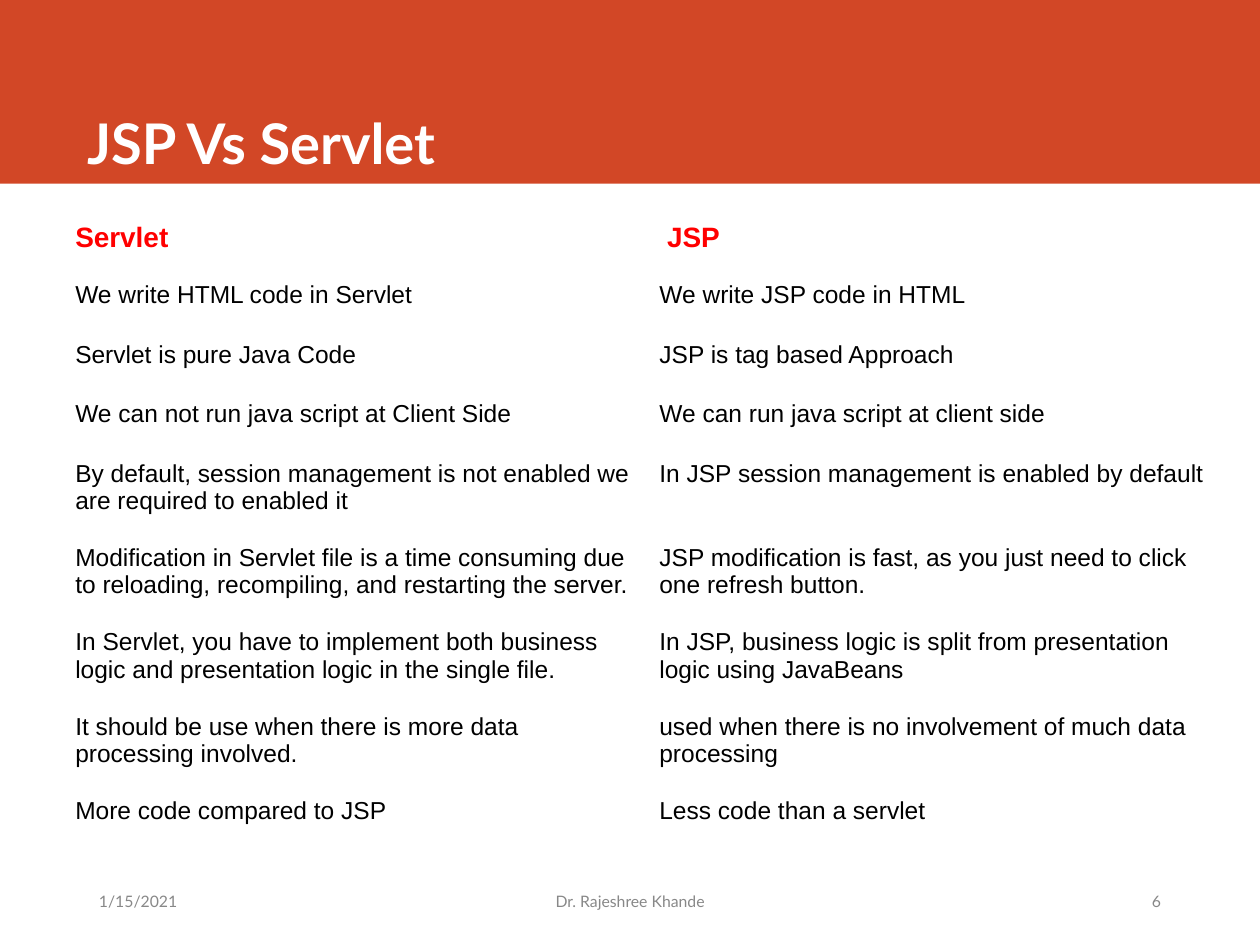
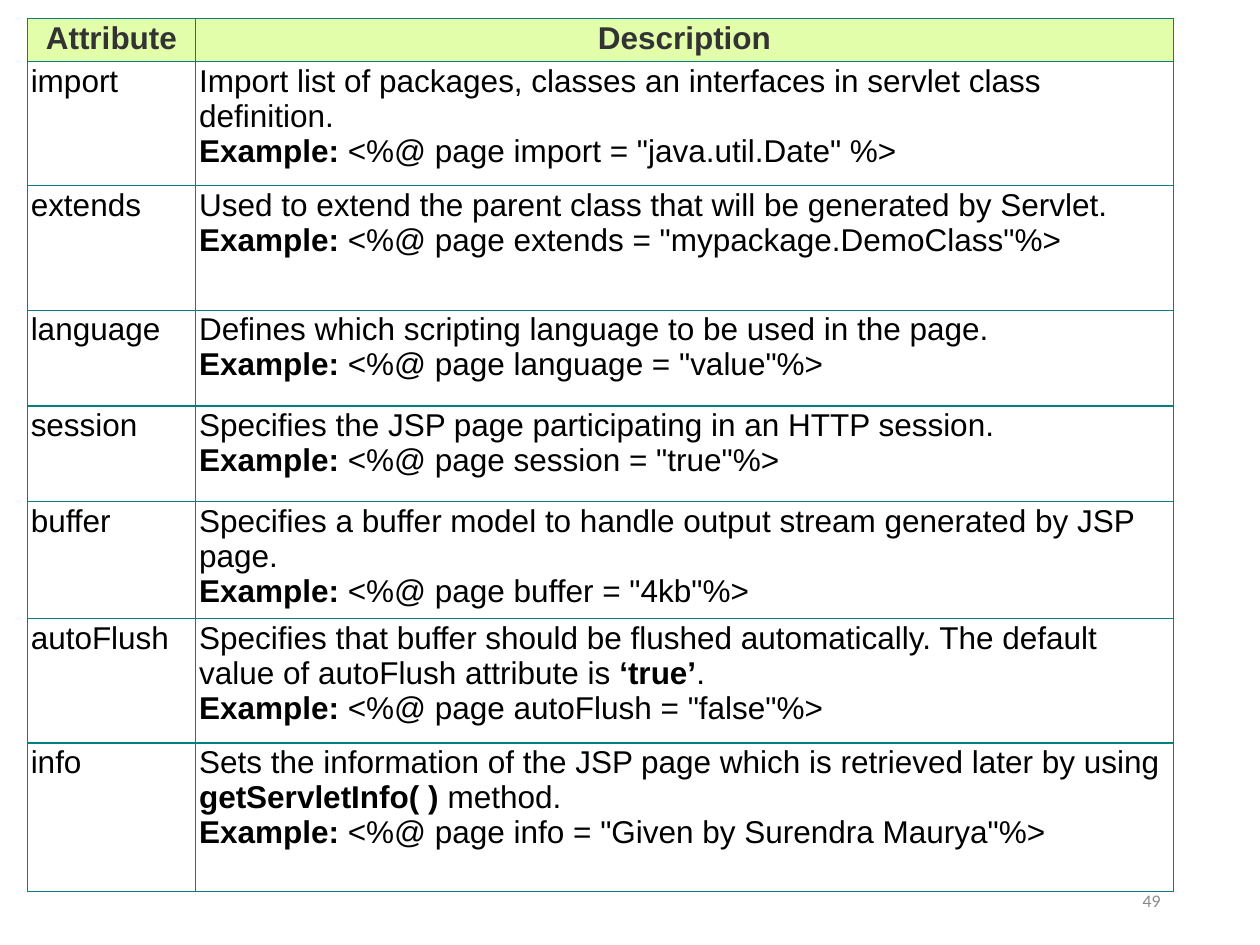
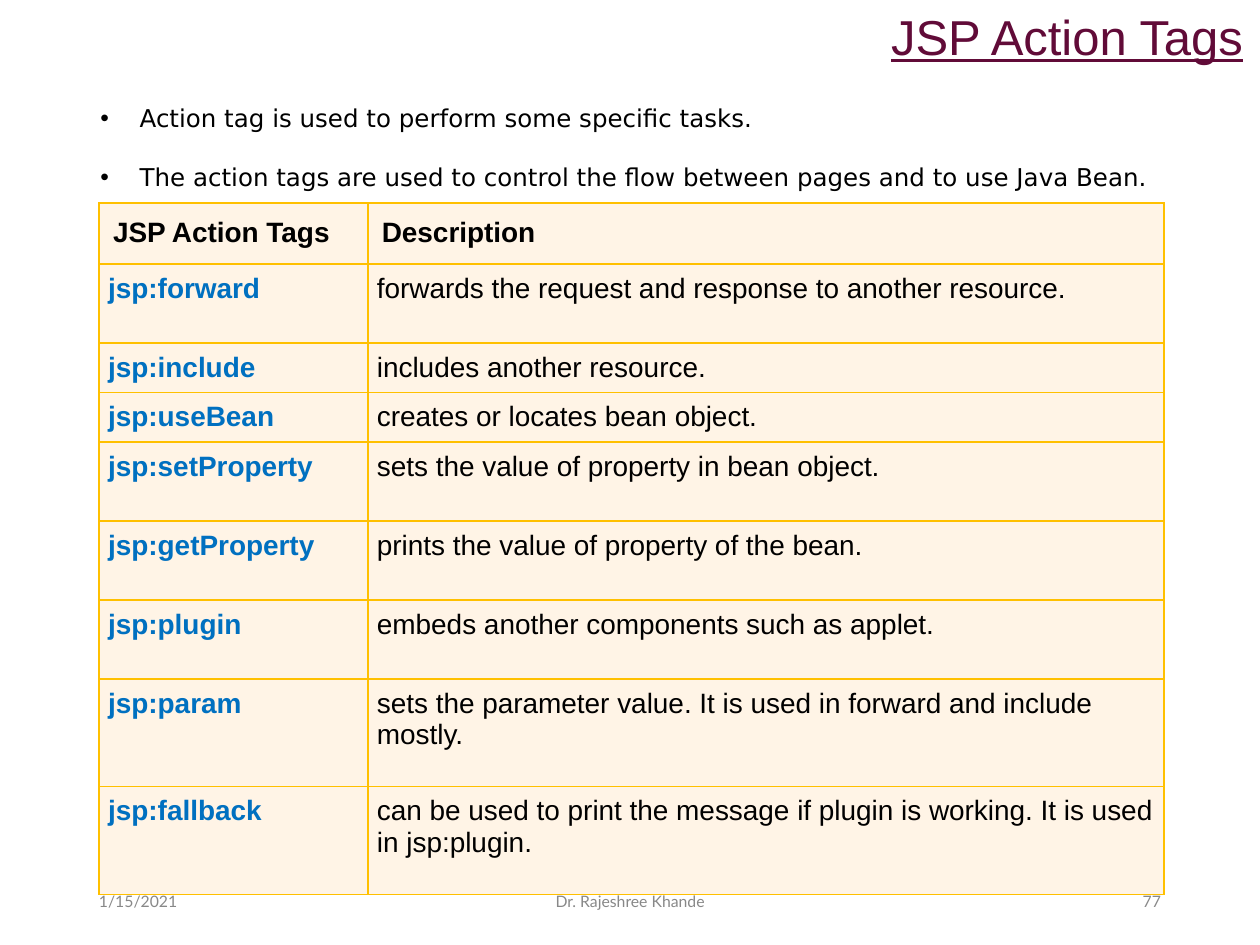
from dataclasses import dataclass
from typing import Optional

from lxml import etree
from pptx import Presentation
from pptx.dml.color import RGBColor
from pptx.enum.shapes import MSO_SHAPE
from pptx.enum.text import MSO_ANCHOR, MSO_AUTO_SIZE, PP_ALIGN
from pptx.oxml.ns import qn
from pptx.util import Pt

COLORS = {
    "band": "D24726", "white": "FFFFFF", "black": "000000", "footer": "888888",
    "red": "FF0000", "lime": "E3FEAB", "charcoal": "333333", "teal": "008080",
    "cream": "FFF4E6", "gold": "FFC000", "blue": "0070C0", "plum": "610B38",
}
HEADING_FONT, BODY_FONT, BULLET_FONT = "Lato", "Arial", "DejaVu Sans"
NO_TABLE_STYLE = "{2D5ABB26-0587-4C30-8999-92F81FD0307C}"
TITLE_ONLY, BLANK = 5, 6


@dataclass(frozen=True)
class TextStyle:
    size: float
    color: str = "black"
    bold: bool = False
    font: str = BODY_FONT
    underline: bool = False


@dataclass(frozen=True)
class Box:
    left: float
    top: float
    width: float
    height: float

    def lengths(self) -> tuple:
        return Pt(self.left), Pt(self.top), Pt(self.width), Pt(self.height)


@dataclass(frozen=True)
class FooterPart:
    box: Box
    align: PP_ALIGN


@dataclass(frozen=True)
class TableLook:
    left: float
    top: float
    columns: tuple[float, ...]
    heights: tuple[float, ...]
    header: TextStyle
    body: tuple[TextStyle, ...]
    margins: tuple[float, float] = (7.2, 3.6)
    header_margins: tuple[float, float] = (7.2, 3.6)
    header_align: PP_ALIGN = PP_ALIGN.LEFT
    header_fill: Optional[str] = None
    body_fill: Optional[str] = None
    border: Optional[str] = None
    border_width: float = 1


FOOTER_STYLE = TextStyle(9, "footer", font=HEADING_FONT)
DATE = FooterPart(Box(49.5, 500.5, 194, 28.8), PP_ALIGN.LEFT)
AUTHOR = FooterPart(Box(274.5, 500.5, 171, 28.8), PP_ALIGN.CENTER)
NUMBER = FooterPart(Box(476.5, 500.5, 194, 28.8), PP_ALIGN.RIGHT)

COMPARISON_LOOK = TableLook(
    35.8, 123.2, (333.8, 333.8), (34,) * 4 + (48.2,) * 5,
    header=TextStyle(16, "red", True), body=(TextStyle(14),) * 2,
)
ATTRIBUTE_LOOK = TableLook(
    15.6, 10.5, (96.2, 558.7), (24.8, 71, 71, 54.8, 54.8, 64.6, 71, 85),
    header=TextStyle(18, "charcoal", True), body=(TextStyle(18),) * 2,
    margins=(2, 1), header_margins=(2, 1.5), header_align=PP_ALIGN.CENTER,
    header_fill="lime", body_fill="white", border="teal", border_width=0.75,
)
ACTION_LOOK = TableLook(
    56.6, 116, (153.6, 455), (34.8, 45.1, 28.4, 28.4, 45.1, 45.1, 45.1, 61.6, 61.6),
    header=TextStyle(16, bold=True), body=(TextStyle(16, "blue", True), TextStyle(16)),
    margins=(5.2, 5.2), header_margins=(8, 8),
    header_fill="cream", body_fill="cream", border="gold",
)

COMPARISON = [
    ("Servlet", "JSP"),
    ("We write HTML code in Servlet", "We write JSP code in HTML"),
    ("Servlet is pure Java Code", "JSP is tag based Approach"),
    ("We can not run java script at Client Side", "We can run java script at client side"),
    ("By default, session management is not enabled we are required to enabled it",
     "In JSP session management is enabled by default"),
    ("Modification in Servlet file is a time consuming due to reloading, recompiling, "
     "and restarting the server.",
     "JSP modification is fast, as you just need to click one refresh button."),
    ("In Servlet, you have to implement both business logic and presentation logic "
     "in the single file.",
     "In JSP, business logic is split from presentation logic using JavaBeans"),
    ("It should be use when there is more data processing involved.",
     "used when there is no involvement of much data processing"),
    ("More code compared to JSP", "Less code than a servlet"),
]
# Attribute, description (bold between ** marks) and example value
ATTRIBUTES = [
    ("import", "Import list of packages, classes an interfaces in servlet class definition.",
     '"java.util.Date" '),
    ("extends", "Used to extend the parent class that will be generated by Servlet.",
     '"mypackage.DemoClass"'),
    ("language", "Defines which scripting language to be used in the page.", '"value"'),
    ("session", "Specifies the JSP page participating in an HTTP session.", '"true"'),
    ("buffer", "Specifies a buffer model to handle output stream generated by JSP page.",
     '"4kb"'),
    ("autoFlush", "Specifies that buffer should be flushed automatically. The default value "
     "of autoFlush attribute is **‘true’**.", '"false"'),
    ("info", "Sets the information of the JSP page which is retrieved later by "
     "using **getServletInfo( )** method.", '"Given by Surendra Maurya"'),
]
ACTIONS = [
    ("JSP Action Tags", "Description"),
    ("jsp:forward", "forwards the request and response to another resource."),
    ("jsp:include", "includes another resource."),
    ("jsp:useBean", "creates or locates bean object."),
    ("jsp:setProperty", "sets the value of property in bean object."),
    ("jsp:getProperty", "prints the value of property of the bean."),
    ("jsp:plugin", "embeds another components such as applet."),
    ("jsp:param", "sets the parameter value. It is used in forward and include mostly."),
    ("jsp:fallback", "can be used to print the message if plugin is working. "
     "It is used in jsp:plugin."),
]
ACTION_NOTES = [
    "Action tag is used to perform some specific tasks.",
    "The action tags are used to control the flow between pages and to use Java Bean.",
]


def rgb(name: str) -> RGBColor:
    return RGBColor.from_string(COLORS[name])


def style_font(font, style: TextStyle) -> None:
    font.name, font.size = style.font, Pt(style.size)
    font.bold, font.underline = style.bold, style.underline
    font.color.rgb = rgb(style.color)


def style_runs(paragraph, style: TextStyle) -> None:
    for run in paragraph.runs:
        style_font(run.font, style)


def write_marked(paragraph, text: str, style: TextStyle) -> None:
    """Write text with line breaks, making the parts between ** marks bold."""
    for line_index, line in enumerate(text.split("\n")):
        if line_index:
            paragraph.add_line_break()
        for part_index, part in enumerate(line.split("**")):
            if part:
                run = paragraph.add_run()
                run.text = part
                style_font(run.font, style)
                run.font.bold = style.bold or part_index % 2 == 1


def set_title(slide, text: str, box: Box, style: TextStyle, anchor: MSO_ANCHOR,
              left_margin: float = 7.2) -> None:
    title = slide.shapes.title
    title.left, title.top, title.width, title.height = box.lengths()
    frame = title.text_frame
    frame.text = text
    frame.auto_size = MSO_AUTO_SIZE.NONE
    frame.vertical_anchor = anchor
    frame.margin_left = Pt(left_margin)
    frame.paragraphs[0].alignment = PP_ALIGN.LEFT
    style_runs(frame.paragraphs[0], style)


def add_title_band(slide) -> None:
    band = slide.shapes.add_shape(MSO_SHAPE.RECTANGLE, *Box(0, 0, 720, 105).lengths())
    band.shadow.inherit = False
    band.fill.solid()
    band.fill.fore_color.rgb = rgb("band")
    band.line.fill.background()
    slide.shapes.title.element.addprevious(band.element)


def add_footer_part(slide, part: FooterPart, text: str) -> None:
    frame = slide.shapes.add_textbox(*part.box.lengths()).text_frame
    frame.word_wrap = True
    frame.vertical_anchor = MSO_ANCHOR.MIDDLE
    frame.text = text
    frame.paragraphs[0].alignment = part.align
    style_runs(frame.paragraphs[0], FOOTER_STYLE)


def add_footer(slide, number: int, dated: bool = True) -> None:
    if dated:
        add_footer_part(slide, DATE, "1/15/2021")
        add_footer_part(slide, AUTHOR, "Dr. Rajeshree Khande")
    add_footer_part(slide, NUMBER, str(number))


def add_borders(cell, color: str, width: float) -> None:
    properties = cell._tc.get_or_add_tcPr()
    for index, side in enumerate(("lnL", "lnR", "lnT", "lnB")):
        line = etree.Element(qn(f"a:{side}"), w=str(Pt(width)))
        fill = etree.SubElement(line, qn("a:solidFill"))
        etree.SubElement(fill, qn("a:srgbClr"), val=COLORS[color])
        properties.insert(index, line)


def add_styled_table(slide, look: TableLook, rows: list):
    box = Box(look.left, look.top, sum(look.columns), sum(look.heights))
    table = slide.shapes.add_table(len(rows), len(look.columns), *box.lengths()).table
    table.first_row = table.horz_banding = False
    table._tbl.tblPr.find(qn("a:tableStyleId")).text = NO_TABLE_STYLE
    for column, width in zip(table.columns, look.columns):
        column.width = Pt(width)
    for row_index, (texts, height) in enumerate(zip(rows, look.heights)):
        table.rows[row_index].height = Pt(height)
        is_header = row_index == 0
        side, end = look.header_margins if is_header else look.margins
        fill = look.header_fill if is_header else look.body_fill
        for column_index, text in enumerate(texts):
            cell = table.cell(row_index, column_index)
            cell.margin_left = cell.margin_right = Pt(side)
            cell.margin_top = cell.margin_bottom = Pt(end)
            if fill:
                cell.fill.solid()
                cell.fill.fore_color.rgb = rgb(fill)
            else:
                cell.fill.background()
            if look.border:
                add_borders(cell, look.border, look.border_width)
            paragraph = cell.text_frame.paragraphs[0]
            paragraph.alignment = look.header_align if is_header else PP_ALIGN.LEFT
            write_marked(paragraph, text, look.header if is_header else look.body[column_index])
    return table


def add_bullets(slide, box: Box, texts: list[str], style: TextStyle, gap: float) -> None:
    frame = slide.shapes.add_textbox(*box.lengths()).text_frame
    frame.word_wrap = True
    frame.text = "\n".join(texts)
    for index, paragraph in enumerate(frame.paragraphs):
        properties = paragraph._p.get_or_add_pPr()
        properties.set("marL", str(Pt(22.5)))
        properties.set("indent", str(-Pt(22.5)))
        bullet_color = etree.SubElement(properties, qn("a:buClr"))
        etree.SubElement(bullet_color, qn("a:srgbClr"), val=COLORS[style.color])
        etree.SubElement(properties, qn("a:buFont"), typeface=BODY_FONT)
        etree.SubElement(properties, qn("a:buChar"), char="•")
        if index:
            paragraph.space_before = Pt(gap)
        style_runs(paragraph, style)


def add_comparison_slide(deck) -> None:
    slide = deck.slides.add_slide(deck.slide_layouts[TITLE_ONLY])
    set_title(slide, "JSP Vs Servlet", Box(36, 9, 635, 95),
              TextStyle(32, "white", True, HEADING_FONT), MSO_ANCHOR.BOTTOM, 13.8)
    add_title_band(slide)
    add_footer(slide, 6)
    comparison = add_styled_table(slide, COMPARISON_LOOK, COMPARISON)
    comparison.cell(0, 1).margin_left = Pt(11.6)


def add_attribute_slide(deck) -> None:
    slide = deck.slides.add_slide(deck.slide_layouts[BLANK])
    rows = [("Attribute", "Description")]
    for attribute, description, value in ATTRIBUTES:
        example = f"**Example:** <%@ page {attribute} = {value}%>"
        rows.append((attribute, f"{description}\n{example}"))
    add_styled_table(slide, ATTRIBUTE_LOOK, rows)
    add_footer(slide, 49, dated=False)


def add_action_slide(deck) -> None:
    slide = deck.slides.add_slide(deck.slide_layouts[TITLE_ONLY])
    set_title(slide, "JSP Action Tags", Box(502, 0, 218, 41.2),
              TextStyle(28, "plum", underline=True), MSO_ANCHOR.TOP)
    add_styled_table(slide, ACTION_LOOK, ACTIONS)
    add_bullets(slide, Box(50.2, 55.4, 649.5, 58.2), ACTION_NOTES,
                TextStyle(14, font=BULLET_FONT), gap=17)
    add_footer(slide, 77)


def main() -> None:
    deck = Presentation()
    deck.slide_width, deck.slide_height = Pt(720), Pt(540)
    add_comparison_slide(deck)
    add_attribute_slide(deck)
    add_action_slide(deck)
    deck.save("out.pptx")


if __name__ == "__main__":
    main()
